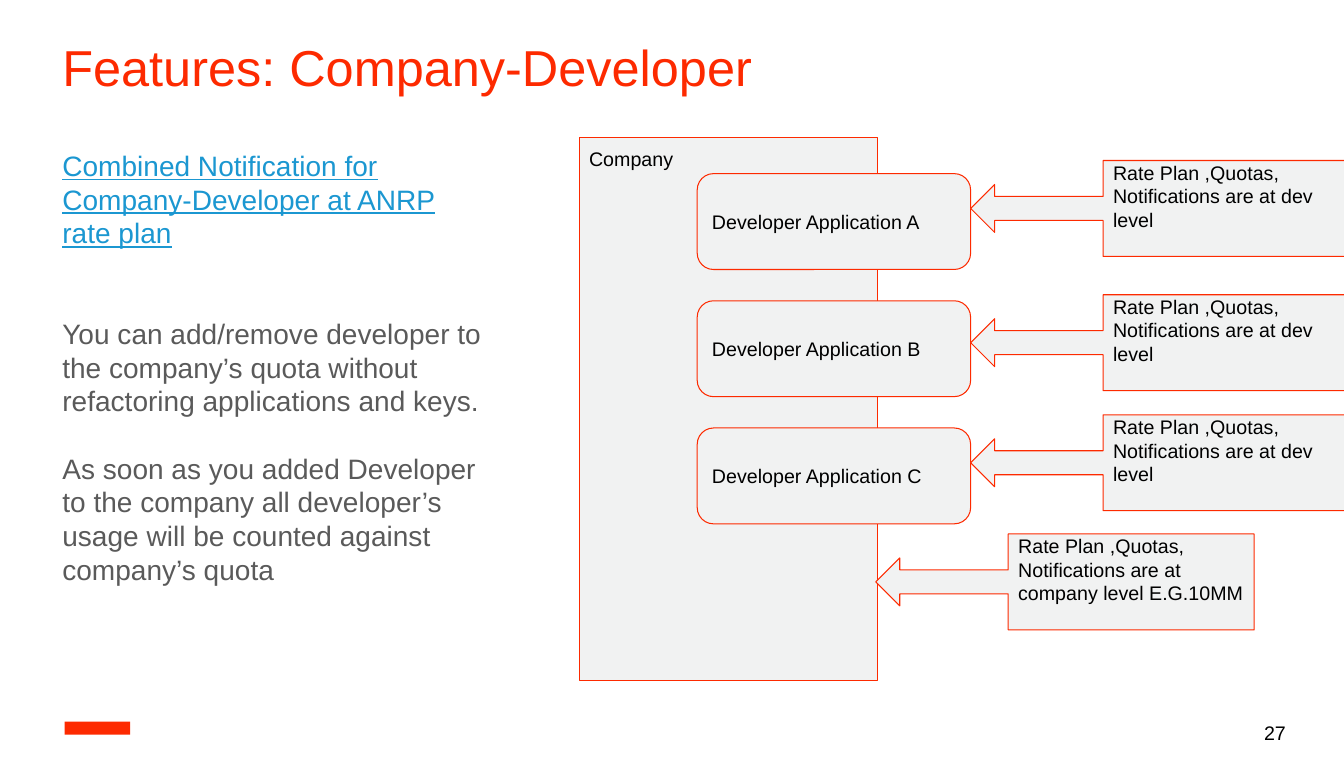
"""Build the Company-Developer features slide."""
import pptx
import pptx.dml.color
import pptx.enum.shapes
import pptx.enum.text
import pptx.util

TITLE = "Features: Company-Developer"
BODY = [
    ("Combined Notification for Company-Developer at ANRP rate plan", "link", 0),
    ("You can add/remove developer to the company’s quota without "
     "refactoring applications and keys.", "body", 48),
    ("As soon as you added Developer to the company all developer’s usage "
     "will be counted against company’s quota", "body", 24),
]
COMPANY = "Company"
APPLICATIONS = [f"Developer Application {letter}" for letter in "ABC"]
DEV_LEVEL = "Rate Plan ,Quotas, Notifications are at dev level"
COMPANY_LEVEL = "Rate Plan ,Quotas, Notifications are at company level E.G.10MM"
CALLOUTS = [
    (COMPANY_LEVEL, 8.68, 5.29),
    (DEV_LEVEL, 9.62, 4.11),
    (DEV_LEVEL, 9.62, 2.92),
    (DEV_LEVEL, 9.62, 1.59),
]
PAGE = "27"

COLORS = {"accent": "FD2A00", "link": "1B97D1", "body": "5A5A5A",
          "text": "000000", "panel": "F1F2F2"}
FONT = "Arial"
BOX_HEIGHT = 0.95
APP_TOP, APP_STEP = 1.72, 1.26

Inches = pptx.util.Inches
MSO_SHAPE = pptx.enum.shapes.MSO_SHAPE
ANCHOR = pptx.enum.text.MSO_ANCHOR


def rgb(name):
    return pptx.dml.color.RGBColor.from_string(COLORS[name])


def set_text(s, lines, size, anchor=ANCHOR.TOP, top=0.1, bottom=0.1):
    tf = s.text_frame
    tf.word_wrap = True
    tf.vertical_anchor = anchor
    tf.margin_left = tf.margin_right = Inches(0.1)
    tf.margin_top, tf.margin_bottom = Inches(top), Inches(bottom)
    for i, (text, color, before) in enumerate(lines):
        p = tf.add_paragraph() if i else tf.paragraphs[0]
        p.text = text
        p.alignment = pptx.enum.text.PP_ALIGN.LEFT
        p.space_before = pptx.util.Pt(before)
        p.font.name = FONT
        p.font.size = pptx.util.Pt(size)
        p.font.color.rgb = rgb(color)
        p.font.underline = color == "link"


def add_text(slide, box, lines, size, **layout):
    s = slide.shapes.add_textbox(*map(Inches, box))
    set_text(s, lines, size, **layout)


def add_filled(slide, kind, box, fill):
    s = slide.shapes.add_shape(kind, *map(Inches, box))
    s.shadow.inherit = False
    s.fill.solid()
    s.fill.fore_color.rgb = rgb(fill)
    return s


def add_box(slide, kind, box, text, adjustments=(), **layout):
    s = add_filled(slide, kind, box, "panel")
    for i, value in enumerate(adjustments):
        s.adjustments[i] = value
    s.line.color.rgb = rgb("accent")
    s.line.width = pptx.util.Pt(0.75)
    set_text(s, [(text, "text", 0)], 14, **layout)


def main():
    prs = pptx.Presentation()
    prs.slide_width, prs.slide_height = Inches(13.32), Inches(7.5)
    slide = prs.slides.add_slide(prs.slide_layouts[6])

    badge = add_filled(slide, MSO_SHAPE.RECTANGLE, (0.64, 7.15, 0.65, 0.13), "accent")
    badge.line.fill.background()

    add_text(slide, (0.52, 0.29, 11.36, 0.74), [(TITLE, "accent", 0)], 36,
             anchor=ANCHOR.MIDDLE)
    add_text(slide, (0.52, 1.37, 4.44, 5.3), BODY, 20)
    add_text(slide, (12.43, 7.06, 0.67, 0.4), [(PAGE, "text", 0)], 14,
             anchor=ANCHOR.MIDDLE, top=0.05, bottom=0.05)

    add_box(slide, MSO_SHAPE.RECTANGLE, (5.74, 1.36, 2.96, 5.38), COMPANY)
    for i, name in enumerate(APPLICATIONS):
        add_box(slide, MSO_SHAPE.ROUNDED_RECTANGLE,
                (6.91, APP_TOP + i * APP_STEP, 2.71, BOX_HEIGHT), name,
                (0.17,), anchor=ANCHOR.MIDDLE)
    for text, left, top in CALLOUTS:
        add_box(slide, MSO_SHAPE.LEFT_ARROW_CALLOUT,
                (left, top, 3.75, BOX_HEIGHT), text,
                (0.25, 0.25, 0.25, 0.65), top=0, bottom=0)

    prs.save("out.pptx")


if __name__ == "__main__":
    main()
